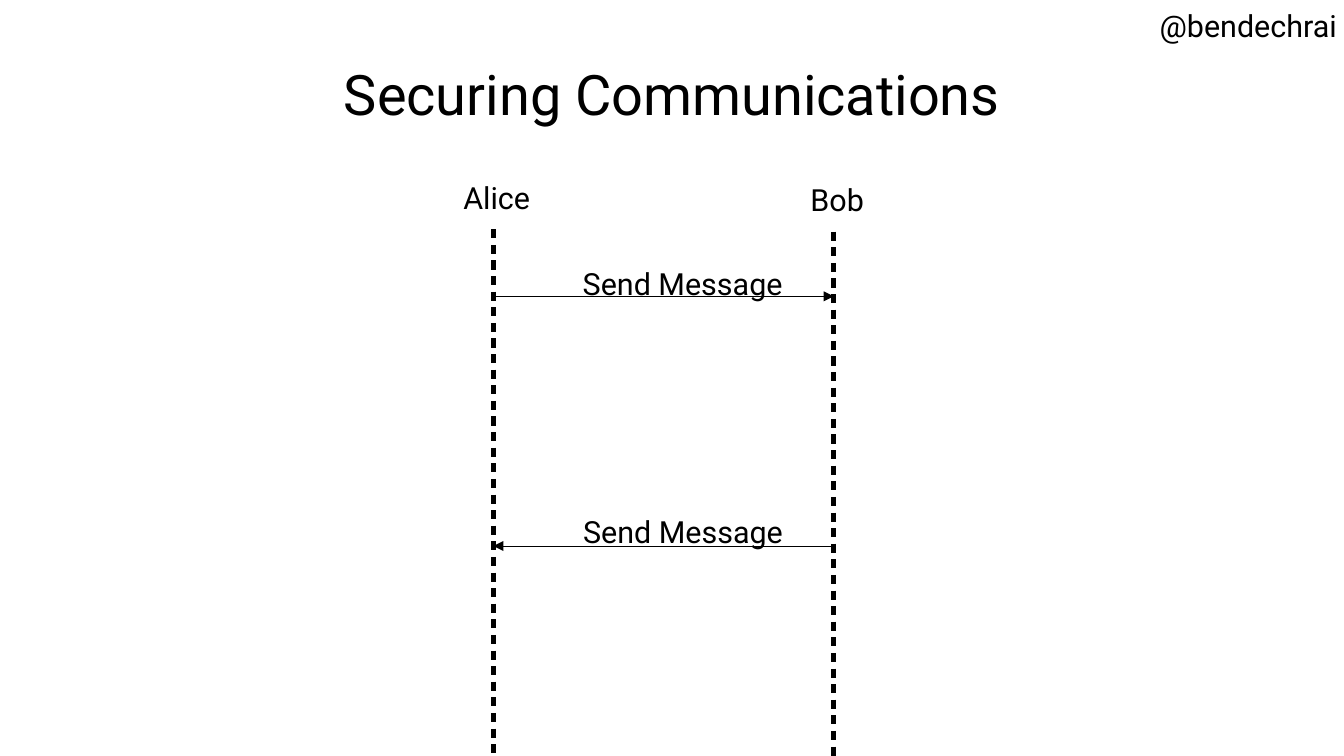
"""Build the Securing Communications sequence diagram slide."""
from lxml.etree import SubElement
from pptx import Presentation
from pptx.dml.color import RGBColor
from pptx.enum.shapes import MSO_CONNECTOR as Connector
from pptx.enum.text import MSO_ANCHOR as Anchor, PP_ALIGN as Align
from pptx.oxml.ns import qn
from pptx.util import Pt

COLOURS = {"ink": "000000", "paper": "FFFFFF"}
SLIDE = (793.44, 446.4)
HANDLE = ("@bendechrai", (677.5, 0.7, 118.8, 56.2))
TITLE = ("Securing Communications", (39.6, 17.6, 714.3, 74.9))
ACTORS = {
    "Alice": {"x": 291.3, "top": 135.4, "bottom": 445, "label": (266.4, 102.2, 54, 31.7)},
    "Bob": {"x": 492.2, "top": 136.8, "bottom": 446.4, "label": (471.4, 103.3, 47.5, 31.7)},
}
MESSAGES = [
    ("Send Message", "Alice", "Bob", 175, (335, 153, 136.1, 31.7)),
    ("Send Message", "Bob", "Alice", 322.4, (335.2, 299.5, 136.1, 31.7)),
]
LIFELINE_WIDTH = 2.83
HAIRLINE = 0.1
DASH = {"d": "188000", "sp": "137000"}
ARROW = {"type": "triangle"}


def colour(name):
    return RGBColor.from_string(COLOURS[name])


def apply(target, values):
    for name, value in values.items():
        setattr(target, name, value)


def add_text(page, text, place, size=18, align=Align.CENTER, inset=(7.2, 3.6), anchor=Anchor.TOP):
    box = page.shapes.add_textbox(*map(Pt, place))
    side, edge = map(Pt, inset)
    apply(box.text_frame, {
        "word_wrap": False, "vertical_anchor": anchor, "margin_left": side,
        "margin_right": side, "margin_top": edge, "margin_bottom": edge,
    })
    para = box.text_frame.paragraphs[0]
    para.alignment = align
    span = para.add_run()
    span.text = text
    apply(span.font, {"name": "Roboto", "size": Pt(size)})
    span.font.color.rgb = colour("ink")


def add_line(page, start, end, width):
    line = page.shapes.add_connector(Connector.STRAIGHT, *map(Pt, start + end))
    line.line.color.rgb = colour("ink")
    line.line.width = Pt(width)
    properties = line._element.spPr
    SubElement(properties, qn("a:effectLst"))
    return properties.find(qn("a:ln"))


def add_lifeline(page, actor):
    start, end = ((actor["x"], actor[edge]) for edge in ("top", "bottom"))
    stroke = add_line(page, start, end, LIFELINE_WIDTH)
    SubElement(SubElement(stroke, qn("a:custDash")), qn("a:ds"), DASH)


def add_arrow(page, sender, receiver, y):
    start, end = ((ACTORS[name]["x"], y) for name in (sender, receiver))
    stroke = add_line(page, start, end, HAIRLINE)
    SubElement(stroke, qn("a:tailEnd"), ARROW)


def main():
    deck = Presentation()
    apply(deck, dict(zip(("slide_width", "slide_height"), map(Pt, SLIDE))))
    page = deck.slides.add_slide(deck.slide_layouts[6])
    page.background.fill.solid()
    page.background.fill.fore_color.rgb = colour("paper")
    add_text(page, *HANDLE, inset=(0, 3.6))
    add_text(page, *TITLE, size=33, inset=(0, 0), anchor=Anchor.MIDDLE)
    for name, actor in ACTORS.items():
        add_lifeline(page, actor)
        add_text(page, name, actor["label"], align=Align.LEFT)
    for text, sender, receiver, y, place in MESSAGES:
        add_arrow(page, sender, receiver, y)
        add_text(page, text, place)
    deck.save("out.pptx")


if __name__ == "__main__":
    main()
